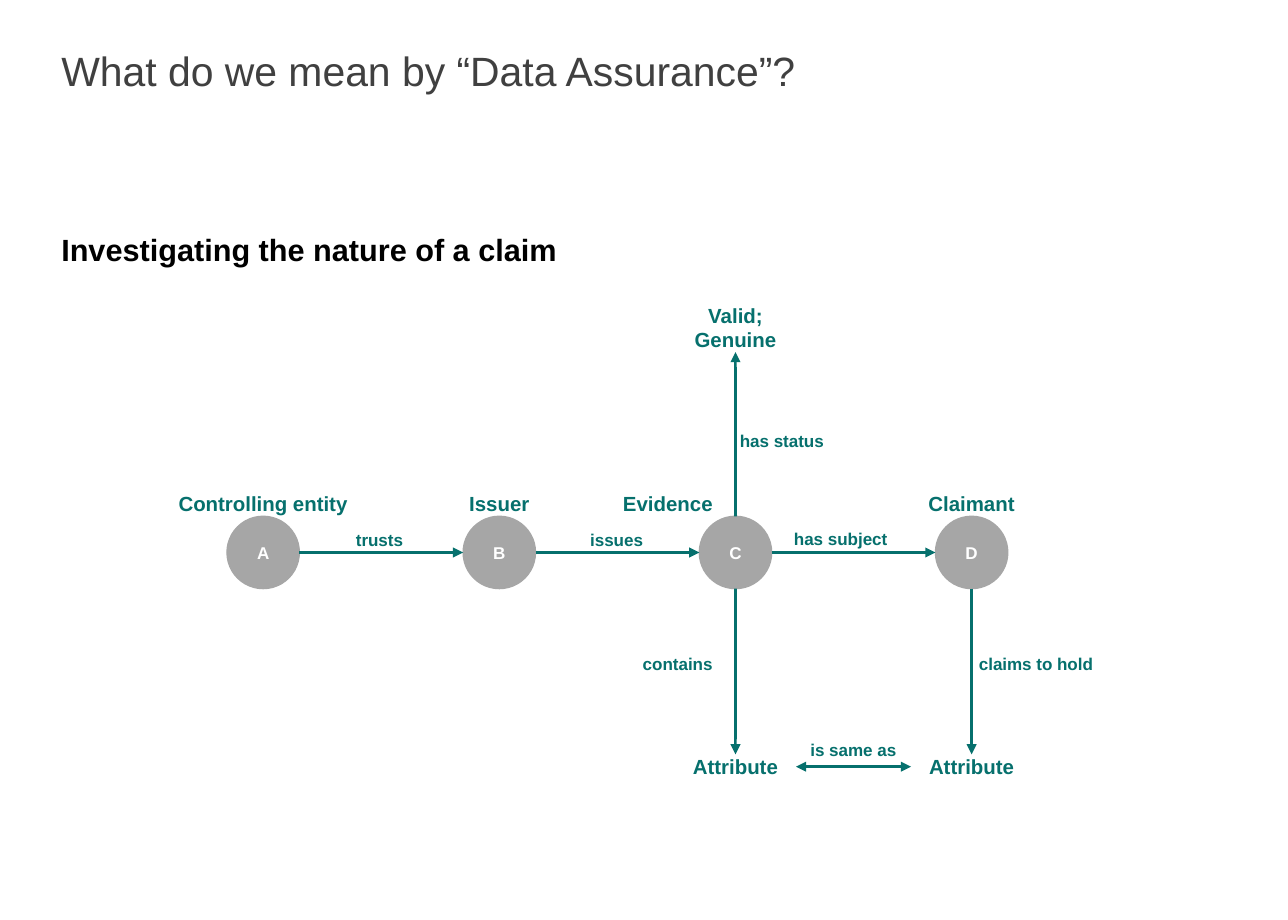
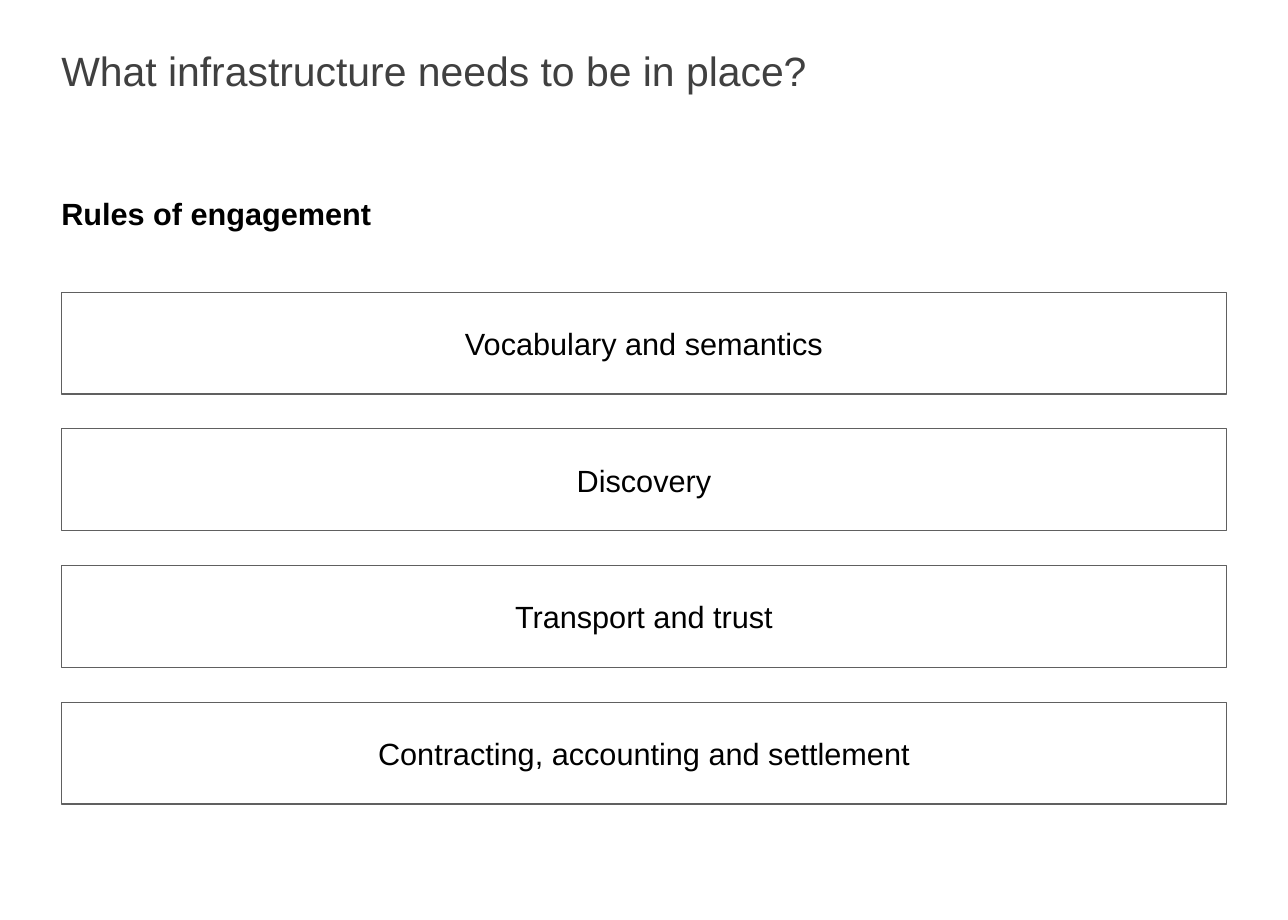
from lxml import etree
from pptx import Presentation
from pptx.dml.color import RGBColor
from pptx.enum.shapes import MSO_CONNECTOR, MSO_SHAPE
from pptx.enum.text import MSO_ANCHOR, MSO_AUTO_SIZE, PP_ALIGN
from pptx.oxml.ns import qn
from pptx.util import Cm, Pt

STRAIGHT = MSO_CONNECTOR.STRAIGHT
OVAL, RECT = MSO_SHAPE.OVAL, MSO_SHAPE.RECTANGLE
TOP, MIDDLE = MSO_ANCHOR.TOP, MSO_ANCHOR.MIDDLE
LEFT, CENTER = PP_ALIGN.LEFT, PP_ALIGN.CENTER
NO_FIT = MSO_AUTO_SIZE.NONE
SIDE_TOP, SIDE_LEFT, SIDE_BOTTOM, SIDE_RIGHT = range(4)

COLORS = {
    "title": "404040",
    "text": "000000",
    "teal": "06706D",
    "node": "A6A6A6",
    "white": "FFFFFF",
    "border": "606060",
}
FONT = "Arial"
MARGIN, CONTENT_W = 1.27, 24.13


def rgb(name):
    """Return the named colour."""
    return RGBColor.from_string(COLORS[name])


def write(shape, text, size, color, bold=False, align=LEFT, anchor=TOP, inset=0):
    """Fill a shape with text, one paragraph per line."""
    tf = shape.text_frame
    tf.text = text
    tf.word_wrap = True
    tf.auto_size = NO_FIT
    tf.vertical_anchor = anchor
    tf.margin_left = tf.margin_right = tf.margin_top = tf.margin_bottom = Cm(inset)
    for p in tf.paragraphs:
        p.alignment = align
        p.font.name = FONT
        p.font.size = Pt(size)
        p.font.bold = bold
        p.font.color.rgb = rgb(color)


def add_label(s, text, x, y, w, h, size, color="teal", align=LEFT):
    """Add a bold text box without insets."""
    box = s.shapes.add_textbox(Cm(x), Cm(y), Cm(w), Cm(h))
    write(box, text, size, color, True, align)
    return box


def add_box(s, kind, text, x, y, w, h, size, fill, line, color, bold=False):
    """Add an outlined shape with centred text."""
    shape = s.shapes.add_shape(kind, Cm(x), Cm(y), Cm(w), Cm(h))
    shape.shadow.inherit = False
    shape.fill.solid()
    shape.fill.fore_color.rgb = rgb(fill)
    shape.line.color.rgb = rgb(line)
    shape.line.width = Pt(0.75)
    write(shape, text, size, color, bold, CENTER, MIDDLE, 0.2)


def add_arrow(s, x1, y1, x2, y2, both=False):
    """Add a straight arrow, with two heads if both is set."""
    c = s.shapes.add_connector(STRAIGHT, Cm(x1), Cm(y1), Cm(x2), Cm(y2))
    c.line.color.rgb = rgb("teal")
    c.line.width = Pt(1.5)
    sp_pr = c.element.spPr
    ln = sp_pr.find(qn("a:ln"))
    for end in ("a:headEnd", "a:tailEnd") if both else ("a:tailEnd",):
        etree.SubElement(ln, qn(end), type="triangle")
    etree.SubElement(sp_pr, qn("a:effectLst"))
    return c


def add_slide(prs, title, subtitle, subtitle_y):
    """Add a slide with the shared title and a bold subtitle."""
    s = prs.slides.add_slide(prs.slide_layouts[5])
    sp = s.shapes.title
    sp.left, sp.top, sp.width, sp.height = Cm(MARGIN), Cm(1.07), Cm(CONTENT_W), Cm(2.11)
    write(sp, title, 24, "title")
    sp.text_frame.paragraphs[0].line_spacing = 0.88
    add_label(s, subtitle, MARGIN, subtitle_y, CONTENT_W, 0.76, 18, "text")
    return s


def add_claim_diagram(s, x, y):
    """Draw the claim graph with its top left corner at x, y."""
    d, pitch, label_w, end_w, end_h = 1.5, 4.89, 3.81, 2.51, 0.51
    centers = [x + 1.89 + i * pitch for i in range(4)]
    evidence_x, claimant_x = centers[2:]
    node_y, attribute_y = y + 4.42, y + 9.35
    mid_y, bottom_y = node_y + d / 2, node_y + d

    headings = [("A", "Controlling entity", 0), ("B", "Issuer", 0),
                ("C", "Evidence", -1.4), ("D", "Claimant", 0)]
    for cx, (letter, heading, shift) in zip(centers, headings):
        add_box(s, OVAL, letter, cx - d / 2, node_y, d, d, 10, "node", "node", "white", True)
        add_label(s, heading, cx + shift - label_w / 2, y + 3.89, label_w, end_h, 12, align=CENTER)

    for start, end in zip(centers, centers[1:]):
        add_arrow(s, start + d / 2, mid_y, end - d / 2, mid_y)

    status = add_label(s, "Valid;\nGenuine", evidence_x - end_w / 2, y, end_w, 2 * end_h, 12, align=CENTER)
    up = add_arrow(s, evidence_x, node_y, evidence_x, y + 2 * end_h)
    up.end_connect(status, SIDE_BOTTOM)

    attributes = []
    for cx in (evidence_x, claimant_x):
        box = add_label(s, "Attribute", cx - end_w / 2, attribute_y, end_w, end_h, 12, align=CENTER)
        add_arrow(s, cx, bottom_y, cx, attribute_y).end_connect(box, SIDE_TOP)
        attributes.append(box)
    same = add_arrow(s, evidence_x, attribute_y, claimant_x, attribute_y, both=True)
    same.begin_connect(attributes[0], SIDE_RIGHT)
    same.end_connect(attributes[1], SIDE_LEFT)

    relations = [
        ("trusts", 3.81, 4.7), ("issues", 8.66, 4.7), ("has subject", 12.88, 4.67),
        ("has status", 11.76, 2.64), ("contains", 9.75, 7.26),
        ("claims to hold", 16.71, 7.26), ("is same as", 13.22, 9.04),
    ]
    for text, dx, dy in relations:
        add_label(s, text, x + dx, y + dy, 2.85, 0.43, 10)


def add_layers(s, x, y, w, h, texts):
    """Stack equal boxes within the given area."""
    box_h = 2.11
    pitch = (h - box_h) / (len(texts) - 1)
    for i, text in enumerate(texts):
        add_box(s, RECT, text, x, y + i * pitch, w, box_h, 18, "white", "border", "text")


def main():
    """Build and save the slides."""
    prs = Presentation()
    prs.slide_width, prs.slide_height = Cm(26.67), Cm(19.05)

    s = add_slide(prs, "What do we mean by “Data Assurance”?",
                  "Investigating the nature of a claim", 4.78)
    add_claim_diagram(s, 3.56, 6.27)

    s = add_slide(prs, "What infrastructure needs to be in place?", "Rules of engagement", 4.04)
    add_layers(s, MARGIN, 6.05, CONTENT_W, 10.6, [
        "Vocabulary and semantics",
        "Discovery",
        "Transport and trust",
        "Contracting, accounting and settlement",
    ])
    prs.save("out.pptx")


if __name__ == "__main__":
    main()
